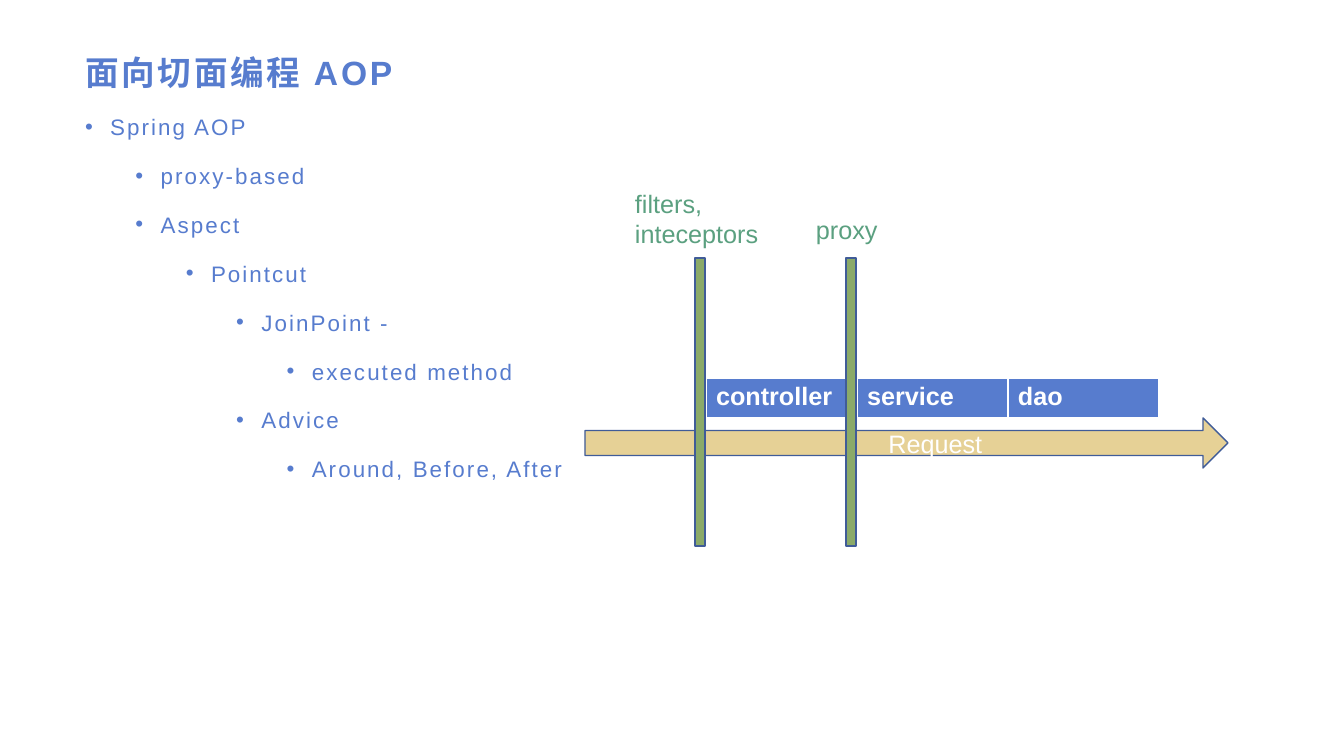
from lxml import etree
from pptx import Presentation
from pptx.dml.color import RGBColor
from pptx.enum.shapes import MSO_SHAPE
from pptx.enum.text import MSO_ANCHOR, MSO_AUTO_SIZE, PP_ALIGN
from pptx.oxml.ns import qn
from pptx.util import Emu, Pt

SCALE = 914400 / 100.8
BLUE = RGBColor(0x57, 0x7C, 0xCE)
GREEN = RGBColor(0x8B, 0xAA, 0x69)
LABEL_GREEN = RGBColor(0x5B, 0xA0, 0x80)
SAND = RGBColor(0xE6, 0xD1, 0x96)
OUTLINE = RGBColor(0x40, 0x5C, 0x98)
WHITE = RGBColor(0xFF, 0xFF, 0xFF)


def px(length):
    return Emu(round(length * SCALE))


def box(*lengths):
    return [px(length) for length in lengths]


class SlideBuilder:
    font = "Arial"

    def __init__(self, presentation):
        self.slide = presentation.slides.add_slide(presentation.slide_layouts[5])
        self.shapes = self.slide.shapes

    def add_text(self, paragraph, text, color, size=18, bold=False, spacing=0):
        run = paragraph.add_run()
        run.text = text
        values = {"name": self.font, "size": Pt(size), "bold": bold}
        for name, value in values.items():
            setattr(run.font, name, value)
        run.font.color.rgb = color
        if spacing:
            run.font._element.set("spc", str(round(spacing * 100)))

    def frame(self, shape, left=10, top=5, right=10, bottom=5, anchor=MSO_ANCHOR.TOP):
        values = {
            "margin_left": px(left), "margin_top": px(top),
            "margin_right": px(right), "margin_bottom": px(bottom),
            "vertical_anchor": anchor, "word_wrap": True,
            "auto_size": MSO_AUTO_SIZE.NONE,
        }
        for name, value in values.items():
            setattr(shape.text_frame, name, value)
        return shape.text_frame

    def title(self, text, left, top, width, height):
        title = self.shapes.title
        values = dict(zip(("left", "top", "width", "height"), box(left, top, width, height)))
        for name, value in values.items():
            setattr(title, name, value)
        frame = self.frame(title, 11, 4, 8, 4, MSO_ANCHOR.MIDDLE)
        frame.paragraphs[0].alignment = PP_ALIGN.LEFT
        self.add_text(frame.paragraphs[0], text, BLUE, 24, True, 2)

    def outline(self, items, left, top, width, height):
        frame = self.frame(self.shapes.add_textbox(*box(left, top, width, height)), 11, 0, 9, 0)
        for index, (level, text) in enumerate(items):
            paragraph = frame.add_paragraph() if index else frame.paragraphs[0]
            values = {"level": level, "line_spacing": 1.3, "space_after": Pt(10)}
            for name, value in values.items():
                setattr(paragraph, name, value)
            properties = paragraph._p.get_or_add_pPr()
            properties.set("marL", str(228600 + level * 457200))
            properties.set("indent", "-228600")
            etree.SubElement(properties, qn("a:buFont")).set("typeface", self.font)
            etree.SubElement(properties, qn("a:buChar")).set("char", "•")
            self.add_text(paragraph, text, BLUE, 16, spacing=1.5)

    def label(self, text, left, top, width, height):
        frame = self.frame(self.shapes.add_textbox(*box(left, top, width, height)))
        self.add_text(frame.paragraphs[0], text, LABEL_GREEN)

    def shape(self, kind, fill, left, top, width, height):
        shape = self.shapes.add_shape(kind, *box(left, top, width, height))
        shape.shadow.inherit = False
        shape.fill.solid()
        shape.fill.fore_color.rgb = fill
        shape.line.color.rgb = OUTLINE
        shape.line.width = Pt(1)
        return shape

    def arrow(self, text, left, top, width, height, text_left):
        arrow = self.shape(MSO_SHAPE.RIGHT_ARROW, SAND, left, top, width, height)
        frame = self.frame(arrow, left=text_left, anchor=MSO_ANCHOR.MIDDLE)
        frame.paragraphs[0].alignment = PP_ALIGN.CENTER
        self.add_text(frame.paragraphs[0], text, WHITE)

    def table_row(self, texts, left, top, column_width, height):
        size = box(left, top, column_width * len(texts), height)
        table = self.shapes.add_table(1, len(texts), *size).table
        for column, text in enumerate(texts):
            table.columns[column].width = px(column_width)
            cell = table.cell(0, column)
            self.add_text(cell.text_frame.paragraphs[0], text, WHITE, bold=True)
            properties = cell._tc.get_or_add_tcPr()
            for side, width in {"L": 1, "R": 1, "T": 1, "B": 3}.items():
                line = etree.SubElement(properties, qn(f"a:ln{side}"), w=str(Pt(width)))
                fill = etree.SubElement(line, qn("a:solidFill"))
                etree.SubElement(fill, qn("a:srgbClr"), val=str(WHITE))
            cell.fill.solid()
            cell.fill.fore_color.rgb = BLUE


presentation = Presentation()
presentation.slide_width, presentation.slide_height = box(1344, 756)
builder = SlideBuilder(presentation)

# Title and outline
builder.title("面向切面编程 AOP", 74, 48, 1197, 49)
builder.outline([
    (0, "Spring AOP"),
    (1, "proxy-based"),
    (1, "Aspect"),
    (2, "Pointcut"),
    (3, "JoinPoint -"),
    (4, "executed method"),
    (3, "Advice"),
    (4, "Around, Before, After"),
], 74, 105, 1197, 594)

# Layers and the request that passes them
builder.table_row(["controller", "service", "dao"], 706, 378, 151, 41)
builder.arrow("Request", 585, 418, 643, 50, text_left=80)

# Interception points
for bar_left in (695, 846):
    builder.shape(MSO_SHAPE.RECTANGLE, GREEN, bar_left, 258, 10, 288)
builder.label("filters, inteceptors", 625, 183, 151, 69)
builder.label("proxy", 806, 209, 90, 44)

presentation.save("out.pptx")
